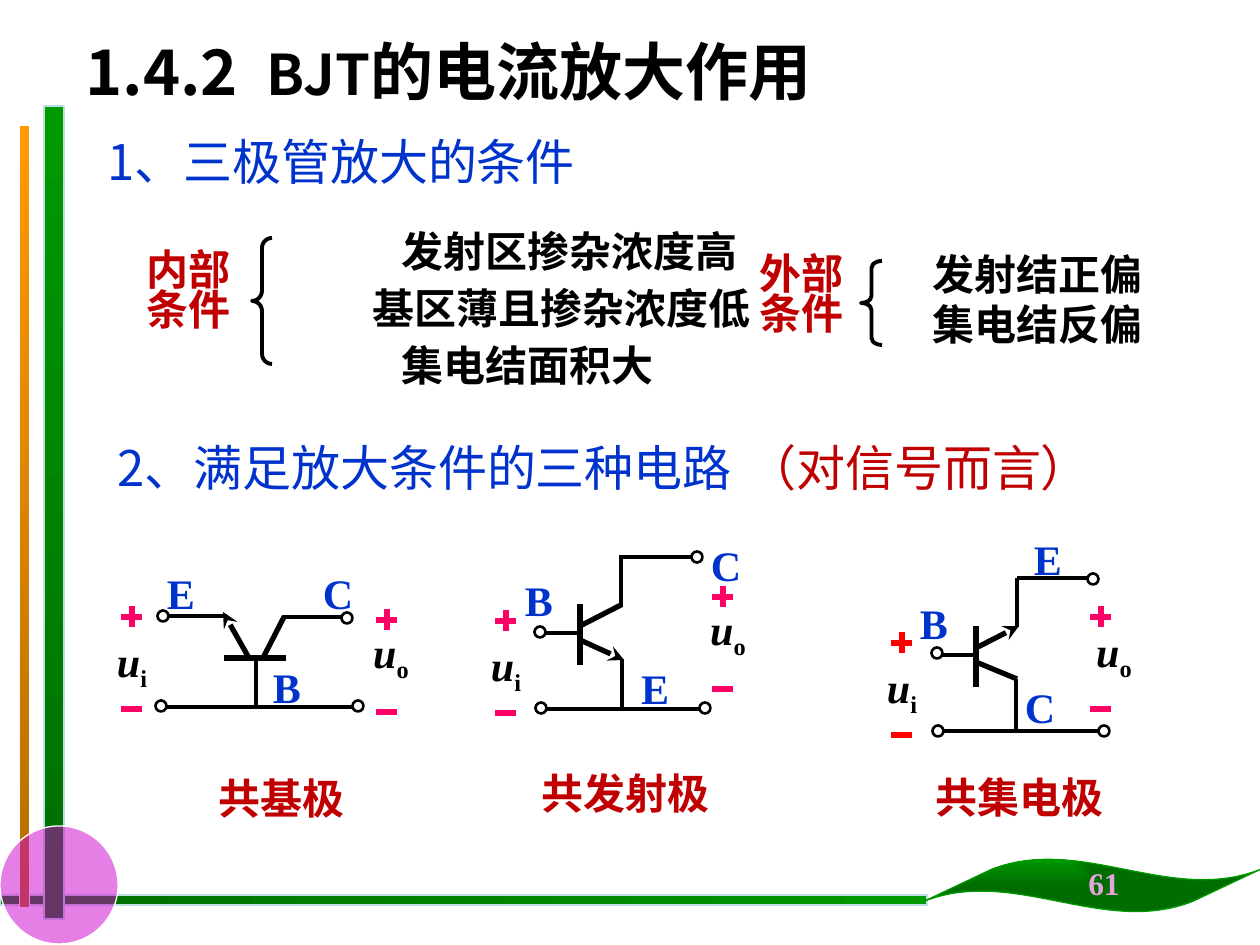
from dataclasses import dataclass, replace

from lxml.etree import SubElement
from pptx import Presentation
from pptx.dml.color import RGBColor
from pptx.enum.shapes import MSO_CONNECTOR, MSO_SHAPE
from pptx.enum.text import MSO_ANCHOR, MSO_AUTO_SIZE, PP_ALIGN
from pptx.oxml.ns import qn
from pptx.util import Pt

EMU_PER_PX = 914400 / 126
SANS, SERIF = "Noto Sans CJK SC", "Times New Roman"

BLACK = RGBColor(0x00, 0x00, 0x00)
WHITE = RGBColor(0xFF, 0xFF, 0xFF)
BLUE = RGBColor(0x00, 0x33, 0xCC)
DARK_RED = RGBColor(0xC0, 0x00, 0x00)
RED = RGBColor(0xFF, 0x00, 0x00)
PINK = RGBColor(0xFF, 0x00, 0x66)
GREEN = RGBColor(0x00, 0x99, 0x00)
DARK_GREEN = RGBColor(0x00, 0x6D, 0x00)
ORANGE = RGBColor(0xFF, 0x99, 0x00)
BROWN = RGBColor(0xB6, 0x6D, 0x00)
PALE_BLUE = RGBColor(0xBB, 0xE0, 0xE3)
PURPLE = RGBColor(0xCC, 0x00, 0xCC)
LILAC = RGBColor(0xE4, 0xA4, 0xDC)


@dataclass(frozen=True)
class Style:
    size: int = 24
    color: RGBColor = BLACK
    bold: bool = True
    italic: bool = False
    font: str = SERIF
    baseline: int = 0


BODY = Style()
CAPTION = Style(color=DARK_RED)
TERMINAL = Style(color=BLUE)
HEADING = Style(28, BLUE, bold=False, font=SANS)
TITLE = Style(36, font=SANS)


def px(*lengths):
    return [round(length * EMU_PER_PX) for length in lengths]


def add_run(paragraph, text, style):
    run = paragraph.add_run()
    run.text = text
    font = run.font
    font.size, font.name = Pt(style.size), style.font
    font.bold, font.italic = style.bold, style.italic
    font.color.rgb = style.color
    properties = font._element
    SubElement(properties, qn("a:ea")).set("typeface", SANS)
    if style.baseline:
        properties.set("baseline", str(style.baseline * 1000))


def write(frame, paragraphs, align=PP_ALIGN.CENTER, spacing=None, wrap=True):
    frame.word_wrap = wrap
    frame.auto_size = MSO_AUTO_SIZE.NONE
    frame.vertical_anchor = MSO_ANCHOR.TOP
    for index, runs in enumerate(paragraphs):
        paragraph = frame.add_paragraph() if index else frame.paragraphs[0]
        paragraph.alignment = align
        if spacing:
            paragraph.line_spacing = spacing
        for text, style in runs:
            add_run(paragraph, text, style)


def add_text(shapes, box, *paragraphs, **layout):
    write(shapes.add_textbox(*px(*box)).text_frame, paragraphs, **layout)


def add_label(shapes, center, top, *runs):
    add_text(shapes, (center - 28, top, 56, 64), runs, wrap=False)


def add_outlined(shapes, preset, box, color, width):
    shape = shapes.add_shape(preset, *px(*box))
    shape.shadow.inherit = False
    shape.line.color.rgb = color
    shape.line.width = Pt(width)
    return shape


def add_gradient(shape, start, end, angle=0):
    shape.fill.gradient()
    shape.fill.gradient_angle = angle
    for stop, color, position in zip(shape.fill.gradient_stops, (start, end), (0, 1)):
        stop.color.rgb = color
        stop.position = position


def add_wire(shapes, x1, y1, x2, y2, width=2, color=BLACK, arrow=False):
    wire = shapes.add_connector(MSO_CONNECTOR.STRAIGHT, *px(x1, y1, x2, y2))
    wire.line.color.rgb = color
    wire.line.width = Pt(width)
    if arrow:
        SubElement(wire.line._get_or_add_ln(), qn("a:tailEnd")).set("type", "stealth")
    SubElement(wire._element.spPr, qn("a:effectLst"))


def add_node(shapes, x, y):
    node = add_outlined(shapes, MSO_SHAPE.OVAL, (x - 5.5, y - 5.5, 11, 11), BLACK, 1.5)
    node.fill.solid()
    node.fill.fore_color.rgb = WHITE


def add_port(shapes, subscript, x, y, text_dx, text_dy, color=PINK):
    half, minus_y = 10.5, y + 92
    add_wire(shapes, x - half, minus_y, x + half, minus_y, 3, color)
    add_wire(shapes, x - half, y, x + half, y, 3, color)
    add_wire(shapes, x, y + half, x, y - half, 3, color)
    add_label(shapes, x + text_dx, y + text_dy,
              ("u", replace(BODY, italic=True)), (subscript, replace(BODY, baseline=-25)))


def add_circuit(slide, bars, emitter, wires, nodes, terminals, ports):
    shapes = slide.shapes.add_group_shape().shapes
    for bar in bars:
        add_wire(shapes, *bar, width=3)
    add_wire(shapes, *emitter, width=3, arrow=True)
    for wire in wires:
        add_wire(shapes, *wire)
    for node in nodes:
        add_node(shapes, *node)
    for letter, center, top in terminals:
        add_label(shapes, center, top, (letter, TERMINAL))
    for port in ports:
        add_port(shapes, *port)


def add_decoration(shapes):
    bars = [
        ((0, 895, 927, 10), PALE_BLUE, 0.75, DARK_GREEN, GREEN, 0),
        ((44, 106, 20, 813), PALE_BLUE, 0.75, GREEN, DARK_GREEN, 270),
        ((20, 125, 10, 783), WHITE, 0.5, ORANGE, BROWN, 270),
    ]
    for box, outline, width, start, end, angle in bars:
        bar = add_outlined(shapes, MSO_SHAPE.RECTANGLE, box, outline, width)
        add_gradient(bar, start, end, angle)

    circle = add_outlined(shapes, MSO_SHAPE.OVAL, (0, 826, 118, 118), WHITE, 0.75)
    circle.fill.solid()
    circle.fill.fore_color.rgb = PURPLE
    tint = circle._element.spPr.find(qn("a:solidFill"))[0]
    SubElement(tint, qn("a:alpha")).set("val", "50000")

    ribbon = add_outlined(shapes, MSO_SHAPE.WAVE, (924, 859, 336, 53), GREEN, 0.75)
    ribbon.adjustments[0], ribbon.adjustments[1] = 0.206, -0.1
    add_gradient(ribbon, GREEN, DARK_GREEN)
    gradient = ribbon._element.spPr.find(qn("a:gradFill"))
    gradient.remove(gradient.find(qn("a:lin")))
    radial = SubElement(gradient, qn("a:path"))
    radial.set("path", "rect")
    focus = SubElement(radial, qn("a:fillToRect"))
    focus.set("r", "100000")
    focus.set("b", "100000")
    add_label(shapes, 1104, 858, ("61", Style(18, LILAC)))


def add_conditions(shapes):
    for box, kind in (((126, 247, 125, 94), "内部"), ((741, 251, 121, 94), "外部")):
        add_text(shapes, box, [(kind, CAPTION)], [("条件", CAPTION)], spacing=0.8)
    for box, curl in (((252, 238, 20, 126), 0.506), ((861, 261, 21, 84), 0.333)):
        brace = add_outlined(shapes, MSO_SHAPE.LEFT_BRACE, box, BLACK, 2.25)
        brace.fill.background()
        brace.adjustments[0] = curl
    inner = [(284, 571, "发射区掺杂浓度高"), (278, 568, "基区薄且掺杂浓度低"), (281, 494, "集电结面积大")]
    for row, (left, width, text) in enumerate(inner):
        add_text(shapes, (left, 219 + 57 * row, width, 64), [(text, BODY)])
    add_text(shapes, (888, 242, 299, 115), [("发射结正偏", BODY)], [("集电结反偏", BODY)])


def add_circuits(slide):
    add_circuit(
        slide,
        bars=[(286, 658, 224, 658), (263, 658, 284, 617)],
        emitter=(249, 658, 223, 612),
        wires=[(256, 658, 256, 707), (282, 617, 341, 617), (227, 616, 169, 616), (163, 707, 354, 707)],
        nodes=[(163, 616), (347, 618), (161, 706), (358, 706)],
        terminals=[("E", 181, 561), ("C", 338, 561), ("B", 287, 655)],
        ports=[("i", 132, 617, 0, 12), ("o", 387, 620, 4, 0)])
    add_circuit(
        slide,
        bars=[(580, 604, 580, 665), (580, 626, 621, 605)],
        emitter=(580, 640, 624, 660),
        wires=[(580, 633, 546, 633), (621, 607, 621, 557), (622, 659, 622, 709),
               (544, 709, 706, 709), (619, 557, 696, 557)],
        nodes=[(540, 632), (541, 708), (697, 557), (705, 708)],
        terminals=[("B", 539, 568), ("C", 726, 533), ("E", 655, 656)],
        ports=[("i", 506, 621, 0, 12), ("o", 723, 597, 5, 0)])
    add_circuit(
        slide,
        bars=[(976, 626, 976, 687), (976, 662, 1017, 679)],
        emitter=(976, 648, 1019, 626),
        wires=[(976, 655, 942, 655), (1017, 627, 1017, 578), (1016, 679, 1016, 731),
               (942, 731, 1098, 731), (1017, 578, 1087, 578)],
        nodes=[(937, 653), (938, 731), (1093, 579), (1104, 731)],
        terminals=[("B", 934, 591), ("E", 1048, 527), ("C", 1040, 675)],
        ports=[("i", 902, 643, 0, 12, RED), ("o", 1101, 617, 13, 2)])
    for center, top, name in ((282, 766, "共基极"), (626, 761, "共发射极"), (1020, 765, "共集电极")):
        add_text(slide.shapes, (center - 126, top, 252, 64), [(name, CAPTION)])


def main():
    deck = Presentation()
    deck.slide_width, deck.slide_height = px(1260, 945)
    slide = deck.slides.add_slide(deck.slide_layouts[5])
    shapes = slide.shapes
    title = shapes.title
    title.left, title.top, title.width, title.height = px(73, 26, 989, 89)
    write(title.text_frame,
          [[("1.4.2  ", TITLE), ("BJT", replace(TITLE, size=32)), ("的电流放大作用", TITLE)]],
          align=PP_ALIGN.LEFT)
    add_decoration(shapes)
    add_text(shapes, (95, 125, 542, 72), [("1、三极管放大的条件", HEADING)], align=PP_ALIGN.LEFT)
    add_conditions(shapes)
    add_text(shapes, (105, 431, 1125, 72),
             [("2、满足放大条件的三种电路", HEADING), ("  ", replace(HEADING, size=20)),
              ("（对信号而言）", replace(HEADING, color=DARK_RED))],
             align=PP_ALIGN.LEFT)
    add_circuits(slide)
    deck.save("out.pptx")


if __name__ == "__main__":
    main()
